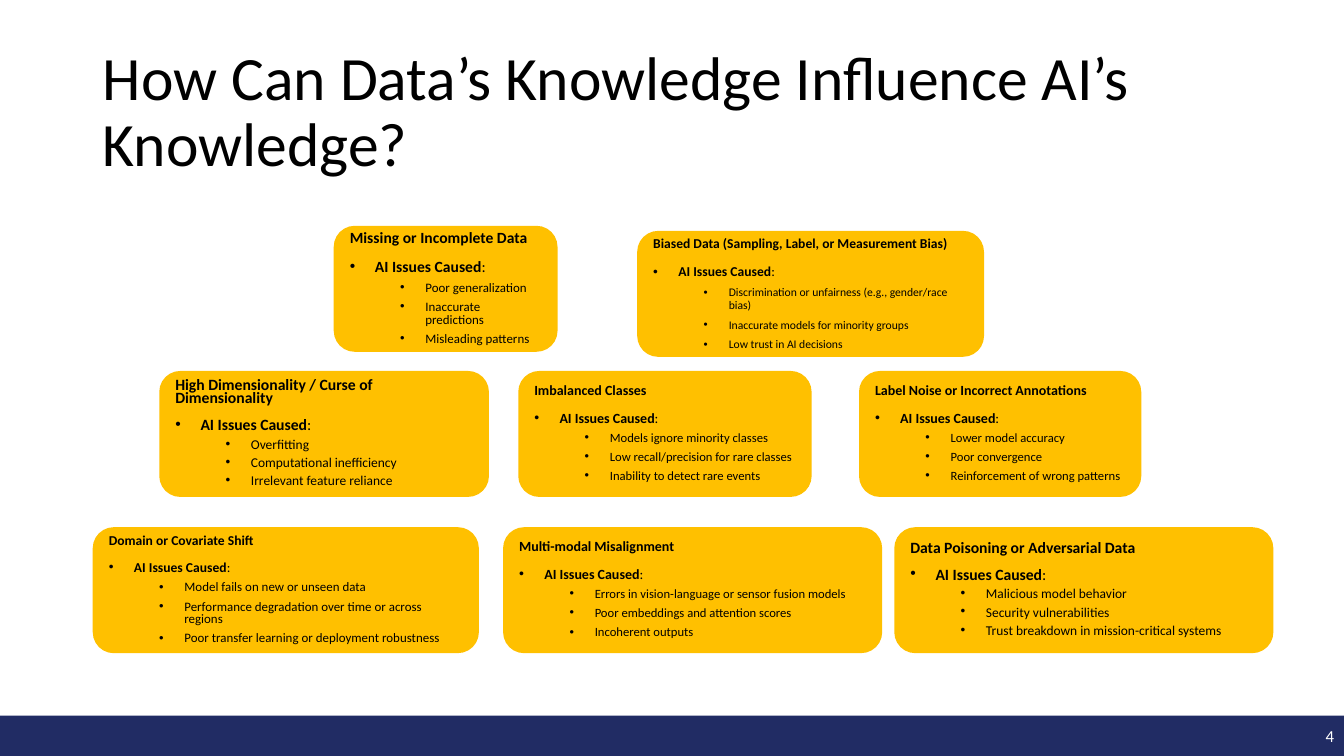
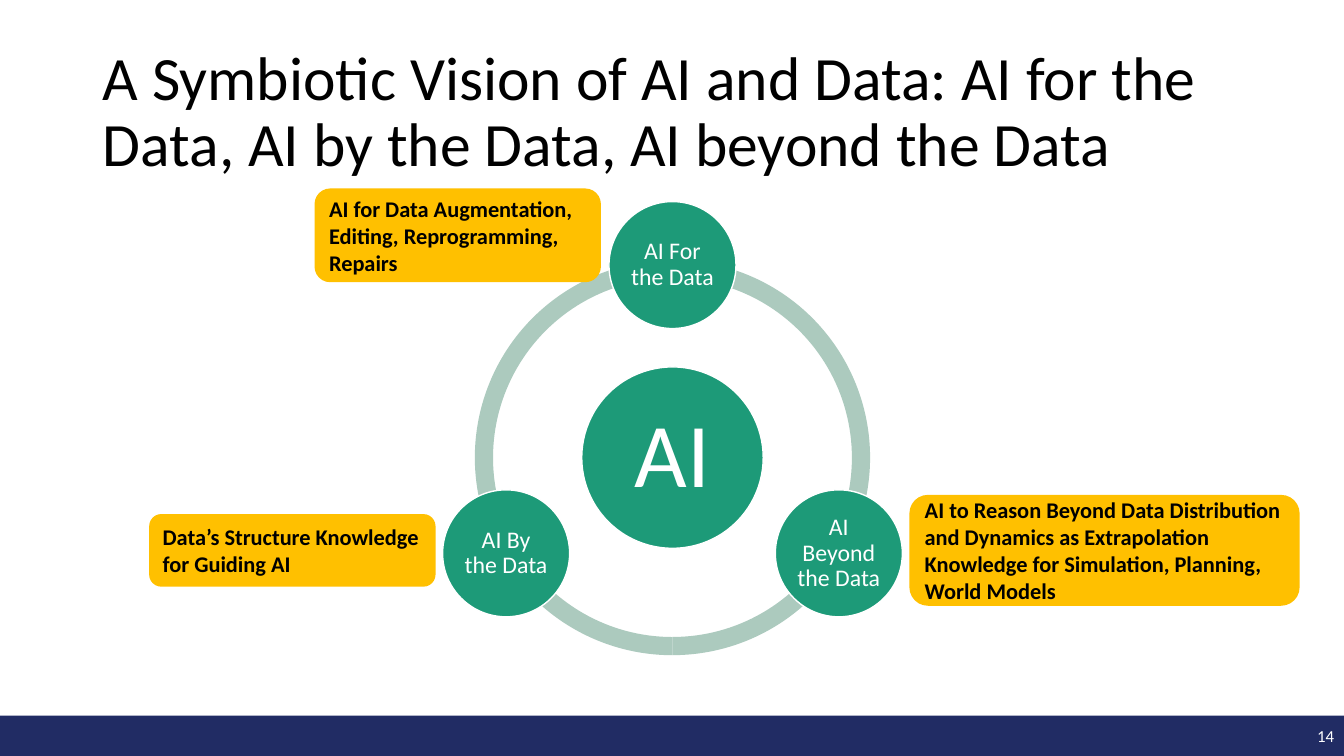
"""Build two slides on how data and AI shape each other."""
import math

import lxml.etree
import pptx
import pptx.dml.color
import pptx.enum.shapes
import pptx.enum.text
import pptx.oxml.ns
import pptx.util

PX = 9144
WIDTH, HEIGHT = 1333, 750
FONT = "Calibri"
BLACK, WHITE, NAVY = "000000", "FFFFFF", "212C64"
AMBER, GREEN, SAGE = "FFC000", "1D9A78", "ACCABE"

rgb = pptx.dml.color.RGBColor.from_string
kinds = pptx.enum.shapes.MSO_SHAPE
align = pptx.enum.text.PP_ALIGN
middle = pptx.enum.text.MSO_ANCHOR.MIDDLE


def add_block(page, kind, place, fill, line=None, inset=None):
    """Add a filled preset shape at (left, top, width, height) in px."""
    block = page.shapes.add_shape(kind, *(round(length) * PX for length in place))
    block.shadow.inherit = False
    block.fill.solid()
    block.fill.fore_color.rgb = rgb(fill)
    if line:
        block.line.color.rgb = rgb(line)
        block.line.width = pptx.util.Pt(1)
    else:
        block.line.fill.background()
    frame = block.text_frame
    frame.word_wrap = True
    frame.vertical_anchor = middle
    if inset is not None:
        frame.margin_left = frame.margin_right = inset * PX
        frame.margin_top = frame.margin_bottom = inset * PX
    return block


def write(box, text, size, color=BLACK, bold=False, side=align.LEFT, spacing=1.0,
          before=0, indent=0, level=0, plain_end=""):
    """Add a paragraph; an indent in px also gives it a bullet."""
    frame = box.text_frame
    para = frame.add_paragraph() if frame.text else frame.paragraphs[0]
    para.alignment = side
    para.line_spacing = spacing
    para.space_before = pptx.util.Pt(before)
    para.level = level
    if indent:
        props = para._p.get_or_add_pPr()
        props.set("marL", str(indent * PX))
        props.set("indent", str(-25 * PX))
        for tag, key, value in (("a:buFont", "typeface", "Arial"), ("a:buChar", "char", "•")):
            lxml.etree.SubElement(props, pptx.oxml.ns.qn(tag)).set(key, value)
    for part, weight in ((text, bold), (plain_end, False)):
        if part:
            span = para.add_run()
            span.text = part
            span.font.name = FONT
            span.font.size = pptx.util.Pt(size)
            span.font.bold = weight
            span.font.color.rgb = rgb(color)


deck = pptx.Presentation()
deck.slide_width, deck.slide_height = WIDTH * PX, HEIGHT * PX

pages = []
for number, heading in (
    ("4", "How Can Data’s Knowledge Influence AI’s Knowledge?"),
    ("14", "A Symbiotic Vision of AI and Data: AI for the Data, AI by the Data, "
           "AI beyond the Data"),
):
    page = deck.slides.add_slide(deck.slide_layouts[5])
    band = add_block(page, kinds.RECTANGLE, (0, 710, WIDTH, 40), NAVY)
    write(band, number, 12, color=WHITE, side=align.RIGHT)
    title = page.shapes.title
    title.left, title.top, title.width, title.height = (n * PX for n in (92, 40, 1150, 145))
    title.text_frame.auto_size = pptx.enum.text.MSO_AUTO_SIZE.NONE
    title.text_frame.vertical_anchor = middle
    write(title, heading, 44, spacing=0.9)
    pages.append(page)
issues_page, vision_page = pages

CARD_HEIGHT = 125
cards = [
    (331, 224, 222, 0.8, 11.1, 9.2, "Missing or Incomplete Data",
     ("Poor generalization", "Inaccurate predictions", "Misleading patterns")),
    (632, 229, 344, 0.9, 9.7, 8.3, "Biased Data (Sampling, Label, or Measurement Bias)",
     ("Discrimination or unfairness (e.g., gender/race bias)",
      "Inaccurate models for minority groups", "Low trust in AI decisions")),
    (158, 368, 327, 0.7, 11.2, 9.6, "High Dimensionality / Curse of Dimensionality",
     ("Overfitting", "Computational inefficiency", "Irrelevant feature reliance")),
    (514, 368, 291, 0.8, 10, 9, "Imbalanced Classes",
     ("Models ignore minority classes", "Low recall/precision for rare classes",
      "Inability to detect rare events")),
    (852, 368, 280, 0.8, 10, 9, "Label Noise or Incorrect Annotations",
     ("Lower model accuracy", "Poor convergence", "Reinforcement of wrong patterns")),
    (92, 523, 383, 0.8, 9.7, 9.2, "Domain or Covariate Shift",
     ("Model fails on new or unseen data",
      "Performance degradation over time or across regions",
      "Poor transfer learning or deployment robustness")),
    (499, 523, 376, 0.8, 10, 9, "Multi-modal Misalignment",
     ("Errors in vision-language or sensor fusion models",
      "Poor embeddings and attention scores", "Incoherent outputs")),
    (887, 523, 376, 0.7, 11.2, 9.6, "Data Poisoning or Adversarial Data",
     ("Malicious model behavior", "Security vulnerabilities",
      "Trust breakdown in mission-critical systems")),
]
for left, top, width, spacing, head_size, issue_size, heading, issues in cards:
    card = add_block(issues_page, kinds.ROUNDED_RECTANGLE, (left, top, width, CARD_HEIGHT), AMBER)
    write(card, heading, head_size, bold=True, spacing=spacing)
    write(card, "AI Issues Caused", head_size, bold=True, spacing=spacing, before=10,
          indent=25, plain_end=":")
    for issue in issues:
        write(card, issue, issue_size, spacing=spacing, before=5, indent=75, level=1)

CENTER_X, CENTER_Y = 667, 454
RING, ORBIT, HUB, NODE = 196, 191, 90, 63
for start, end in ((90, 162), (18, 90), (162, 18)):
    arc = add_block(vision_page, kinds.BLOCK_ARC,
                    (CENTER_X - RING, CENTER_Y - RING, 2 * RING, 2 * RING), SAGE)
    for index, value in enumerate((start * 0.6, end * 0.6, 0.046)):
        arc.adjustments[index] = value

hub = add_block(vision_page, kinds.OVAL, (CENTER_X - HUB, CENTER_Y - HUB, 2 * HUB, 2 * HUB),
                GREEN, line=WHITE, inset=9)
write(hub, "AI", 65, color=WHITE, side=align.CENTER, spacing=0.9)
for angle, label in ((-90, "AI For the Data"), (30, "AI Beyond the Data"), (150, "AI By the Data")):
    node_x = CENTER_X + ORBIT * math.cos(math.radians(angle))
    node_y = CENTER_Y + ORBIT * math.sin(math.radians(angle))
    node = add_block(vision_page, kinds.OVAL, (node_x - NODE, node_y - NODE, 2 * NODE, 2 * NODE),
                     GREEN, line=WHITE, inset=2)
    write(node, label, 17, color=WHITE, side=align.CENTER, spacing=0.9)

for place, text in (
    ((312, 187, 284, 93), "AI for Data Augmentation, Editing, Reprogramming, Repairs"),
    ((148, 510, 284, 72), "Data’s Structure Knowledge for Guiding AI"),
    ((902, 491, 387, 110), "AI to Reason Beyond Data Distribution and Dynamics as Extrapolation "
                           "Knowledge for Simulation, Planning, World Models"),
):
    callout = add_block(vision_page, kinds.ROUNDED_RECTANGLE, place, AMBER)
    write(callout, text, 16, bold=True)

deck.save("out.pptx")
